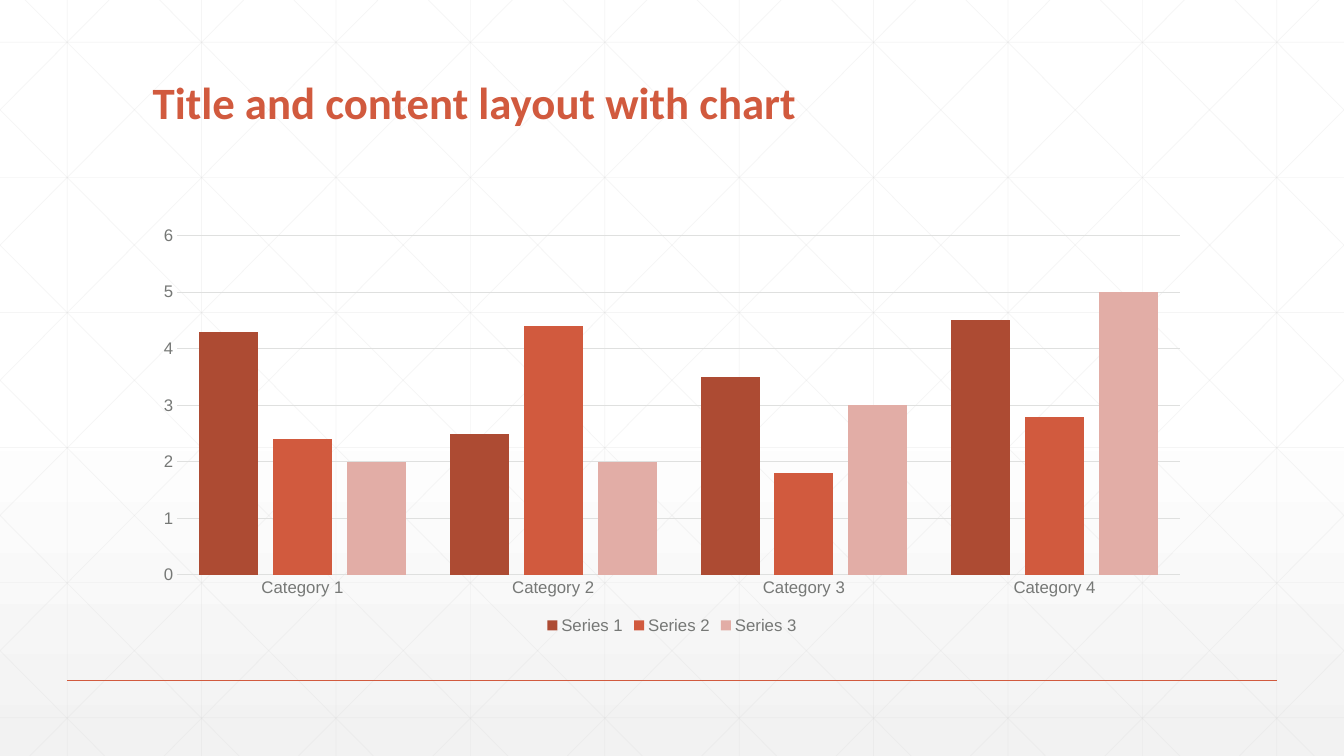
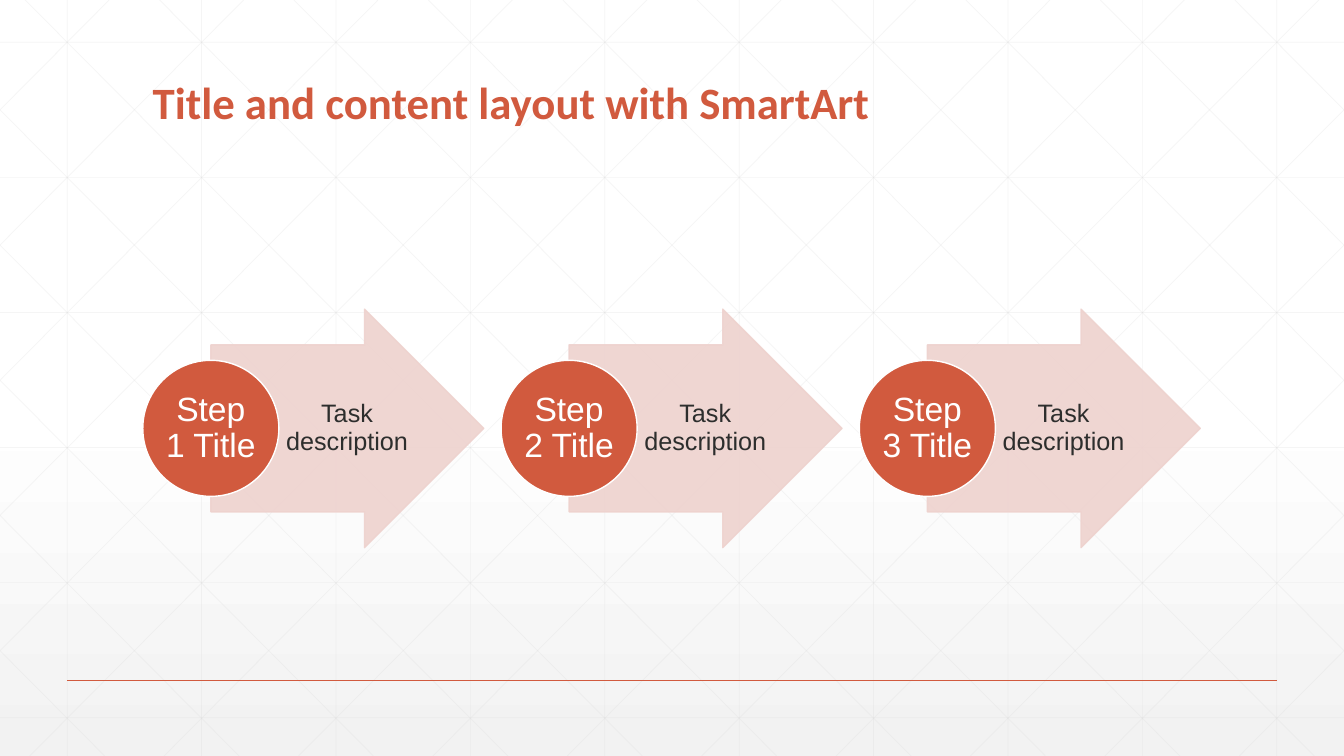
from copy import deepcopy

from lxml.etree import SubElement
from pptx import Presentation
from pptx.chart.data import CategoryChartData
from pptx.dml.color import RGBColor
from pptx.enum.chart import XL_CHART_TYPE, XL_LEGEND_POSITION, XL_TICK_MARK
from pptx.enum.shapes import MSO_CONNECTOR, MSO_SHAPE
from pptx.enum.text import MSO_ANCHOR, PP_ALIGN
from pptx.oxml.ns import qn
from pptx.util import Inches, Pt

# Colours
WHITE = RGBColor(0xFF, 0xFF, 0xFF)
PALE = RGBColor(0xF2, 0xF2, 0xF2)
MESH = RGBColor(0xD9, 0xD9, 0xD9)
RULE = RGBColor(0xDF, 0xE0, 0xDF)
GREY = RGBColor(0x76, 0x78, 0x76)
INK = RGBColor(0x2D, 0x2E, 0x2D)
RUST = RGBColor(0xD1, 0x5A, 0x3E)
DARK = RGBColor(0xAD, 0x4B, 0x33)
ROSE = RGBColor(0xE2, 0xAD, 0xA6)
BLUSH = RGBColor(0xEE, 0xD2, 0xCE)

# Grid of 160 columns by 90 rows, each 1/12 inch
COLS, ROWS = 160, 90
LEFT, WIDE = 17, 126


def grid(*cells):
    return [Inches(c / 12) for c in cells]


def fade(item, share):
    """Set the opacity, in percent, of every plain colour in the item."""
    for color in item.iter(qn("a:srgbClr")):
        SubElement(color, qn("a:alpha")).set("val", str(share * 1000))


class Deck:
    def __init__(self):
        self.show = Presentation()
        self.show.slide_width, self.show.slide_height = grid(COLS, ROWS)
        self.blank = self.show.slide_layouts[6]
        self.slide = None

    def add(self, title):
        self.slide = self.show.slides.add_slide(self.blank)
        if len(self.show.slides) == 1:
            self.base()
        self.text((LEFT, 6.6, WIDE, 9.4), title, 32, RUST, "Calibri", True)

    # Background, mesh and foot rule, kept once on the layout
    def base(self):
        for holder in list(self.blank.placeholders):
            holder.element.getparent().remove(holder.element)
        fill = self.blank.background.fill
        fill.gradient()
        fill.gradient_angle = 270
        for stop, color, place in zip(fill.gradient_stops, (WHITE, PALE), (0, 1)):
            stop.color.rgb, stop.position = color, place
        first = next(self.blank.element.iter(qn("a:gs")))
        mid = deepcopy(first)
        mid.set("pos", "53000")
        first.addnext(mid)

        group = self.slide.shapes.add_group_shape()
        for k in range(10):
            self.line(group, 8 + 16 * k, 0, 8 + 16 * k, ROWS)
        for k in range(6):
            y = 5.04 + 16.08 * k
            self.line(group, 0, y, COLS, y)
        slope = ROWS / 89.46
        for k in range(-5, 10):
            x = 3 + 16 * k
            start, end = max(x, 0), min(x + ROWS / slope, COLS)
            top, low = (start - x) * slope, (end - x) * slope
            self.line(group, start, top, end, low)
            self.line(group, COLS - start, top, COLS - end, low)
        self.line(group, 8, 81, 152, 81, RUST, 1, 100)
        self.blank.shapes.element.append(group.element)

    def line(self, group, x1, y1, x2, y2, color=MESH, width=0.5, share=25):
        line = group.shapes.add_connector(MSO_CONNECTOR.STRAIGHT, *grid(x1, y1, x2, y2))
        line.line.color.rgb, line.line.width = color, Pt(width)
        if share < 100:
            fade(line.element, share)
        SubElement(line.element.spPr, qn("a:effectLst"))

    def words(self, frame, words, size, color, font="Arial", bold=False):
        frame.word_wrap = True
        frame.text = words
        par = frame.paragraphs[0]
        par.line_spacing = 0.9
        face = par.font
        face.name, face.size, face.bold = font, Pt(size), bold
        face.color.rgb = color
        return par

    def text(self, box, words, size, color, font, bold):
        frame = self.slide.shapes.add_textbox(*grid(*box)).text_frame
        frame.vertical_anchor = MSO_ANCHOR.BOTTOM
        self.words(frame, words, size, color, font, bold)

    def label(self, shape, words, size, color, pads):
        frame = shape.text_frame
        frame.vertical_anchor = MSO_ANCHOR.MIDDLE
        (frame.margin_left, frame.margin_top,
         frame.margin_right, frame.margin_bottom) = [Inches(p) for p in pads]
        self.words(frame, words, size, color).alignment = PP_ALIGN.CENTER

    def shape(self, kind, box, fill, edge):
        shape = self.slide.shapes.add_shape(kind, *grid(*box))
        shape.shadow.inherit = False
        shape.fill.solid()
        shape.fill.fore_color.rgb = fill
        shape.line.color.rgb, shape.line.width = edge, Pt(1)
        return shape

    # Arrow with a task, and a disc with the step's name on its tail
    def step(self, x, name, task):
        mid, disc, high = 51, 16.2, 28.4
        arrow = self.shape(MSO_SHAPE.RIGHT_ARROW,
                           (x + disc / 2, mid - high / 2, 32.5, high), BLUSH, BLUSH)
        arrow.adjustments[0], arrow.adjustments[1] = 0.7, 0.5
        fade(arrow.element.spPr, 90)
        note = self.slide.shapes.add_textbox(*grid(x + 16.3, mid - 10, 15.8, 20))
        self.label(note, task, 18, INK, (0.05, 0.01, 0.03, 0.01))
        ball = self.shape(MSO_SHAPE.OVAL, (x, mid - disc / 2, disc, disc), RUST, WHITE)
        self.label(ball, name, 24, WHITE, [0.02] * 4)

    def chart(self, box, cats, rows):
        data = CategoryChartData()
        data.categories = cats
        for name, vals, _ in rows:
            data.add_series(name, vals)
        chart = self.slide.shapes.add_chart(
            XL_CHART_TYPE.COLUMN_CLUSTERED, *grid(*box), data).chart
        chart.has_title = False
        chart.font.name, chart.font.size = "Arial", Pt(10)
        chart.font.color.rgb = INK
        chart.has_legend = True
        chart.legend.position = XL_LEGEND_POSITION.BOTTOM
        chart.legend.include_in_layout = False
        cat, val = chart.category_axis, chart.value_axis
        for axis in (cat, val):
            axis.major_tick_mark = axis.minor_tick_mark = XL_TICK_MARK.NONE
        for font in (cat.tick_labels.font, val.tick_labels.font, chart.legend.font):
            font.name, font.size = "Arial", Pt(12)
            font.color.rgb = GREY
        val.minimum_scale, val.maximum_scale, val.major_unit = 0, 6, 1
        val.format.line.fill.background()
        for rule in (cat.format.line, val.major_gridlines.format.line):
            rule.color.rgb, rule.width = RULE, Pt(0.75)
        plot = chart.plots[0]
        plot.gap_width, plot.overlap = 75, -25
        plot.vary_by_categories = False
        for bars, (_, _, color) in zip(plot.series, rows):
            bars.format.fill.solid()
            bars.format.fill.fore_color.rgb = color


def main():
    deck = Deck()

    # Chart slide
    deck.add("Title and content layout with chart")
    deck.chart((LEFT, 26, WIDE, 50), [f"Category {n}" for n in range(1, 5)], [
        ("Series 1", (4.3, 2.5, 3.5, 4.5), DARK),
        ("Series 2", (2.4, 4.4, 1.8, 2.8), RUST),
        ("Series 3", (2, 2, 3, 5), ROSE),
    ])

    # Steps slide
    deck.add("Title and content layout with SmartArt")
    for n in range(3):
        deck.step(LEFT + 42.65 * n, f"Step {n + 1} Title", "Task description")

    deck.show.save("out.pptx")


if __name__ == "__main__":
    main()
